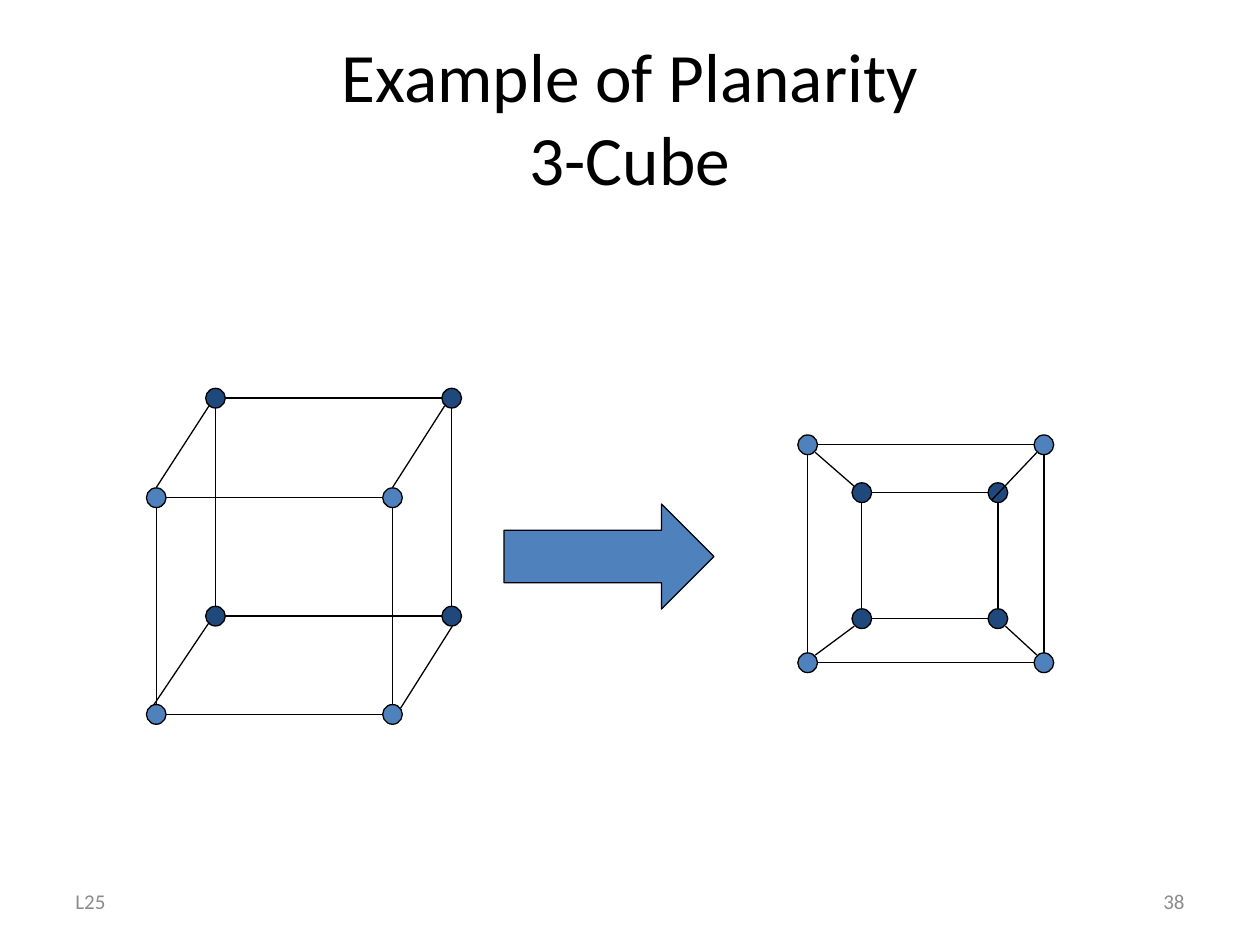
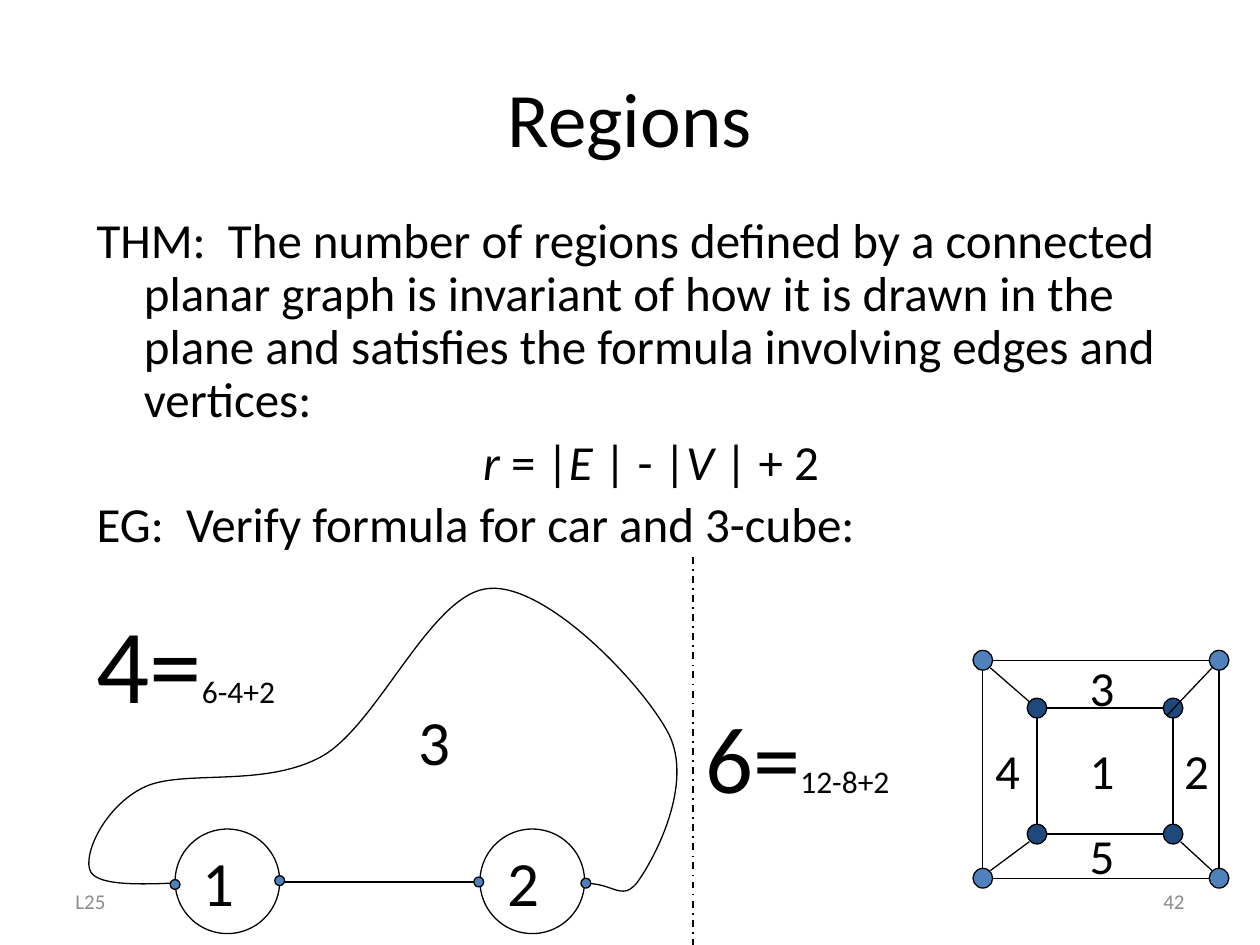
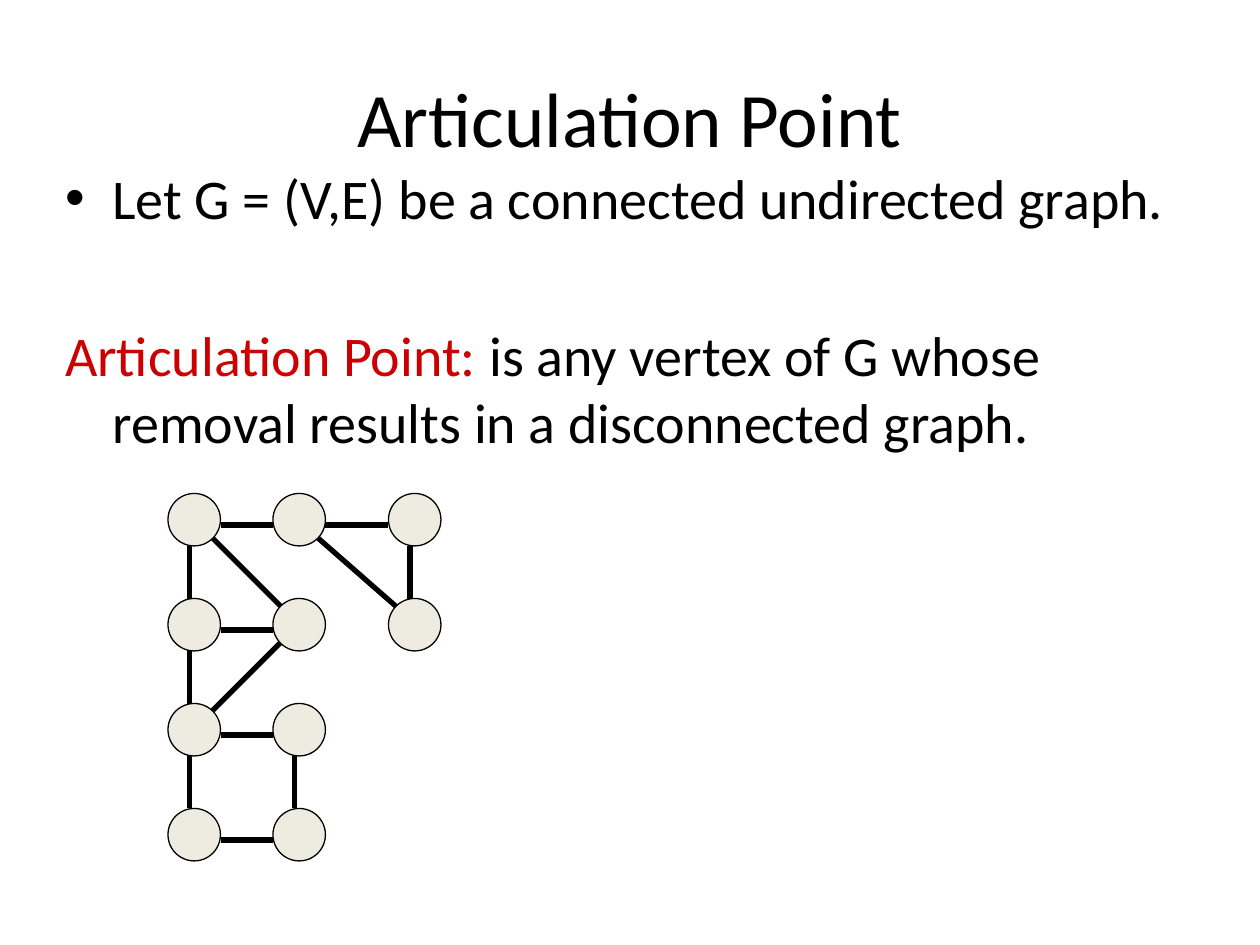
from dataclasses import dataclass
from typing import Any

from pptx import Presentation
from pptx.dml.color import RGBColor
from pptx.enum.dml import MSO_LINE
from pptx.enum.shapes import MSO_CONNECTOR, MSO_SHAPE
from pptx.enum.text import MSO_ANCHOR, MSO_AUTO_SIZE, PP_ALIGN
from pptx.oxml.ns import qn
from pptx.oxml.xmlchemy import OxmlElement
from pptx.util import Inches, Pt

Point = tuple[float, float]
Segment = tuple[Point, Point]
Box = tuple[float, float, float, float]


@dataclass(frozen=True)
class Theme:
    font: str = "Calibri"
    ink: RGBColor = RGBColor(0x00, 0x00, 0x00)
    paper: RGBColor = RGBColor(0xFF, 0xFF, 0xFF)
    muted: RGBColor = RGBColor(0x8C, 0x8C, 0x8C)
    light: RGBColor = RGBColor(0x4F, 0x81, 0xBD)
    dark: RGBColor = RGBColor(0x1F, 0x49, 0x7D)
    cream: RGBColor = RGBColor(0xEE, 0xEC, 0xE1)
    red: RGBColor = RGBColor(0xCC, 0x00, 0x00)
    title: float = 44
    title_two_lines: float = 39.6
    body: float = 32
    body_dense: float = 28
    region: float = 28
    wheel: float = 36
    car_count: float = 60
    cube_count: float = 54
    sum: float = 18
    footer: float = 12
    thin: float = 0.75
    divider: float = 1
    thick: float = 3


T = Theme()


@dataclass(frozen=True)
class Span:
    text: str
    size: float
    color: RGBColor = T.ink
    italic: bool = False


@dataclass(frozen=True)
class Para:
    spans: tuple[Span, ...]
    format: dict[str, Any]
    bullet: bool = False


@dataclass(frozen=True)
class Ring:
    corner: Point
    size: Point
    color: RGBColor


@dataclass(frozen=True)
class CubeGraph:
    inner: Ring
    outer: Ring
    spokes: tuple[Segment, ...]


@dataclass(frozen=True)
class Label:
    at: Box
    spans: tuple[Span, ...]


DOT = 5 / 32
SIDE = 15 / 8
CUBE_3D = CubeGraph(
    Ring((0.47, -0.79), (SIDE, 1.73), T.dark),
    Ring((0, 0), (SIDE, 1.72), T.light),
    (
        ((0.42, -0.73), (0, -0.08)),
        ((2.29, -0.73), (SIDE, -0.08)),
        ((2.35, 1.02), (1.94, 1.67)),
        ((0.42, 0.99), (-0.07, 1.72)),
    ),
)
CUBE_FLAT = CubeGraph(
    Ring((0.43, 0.38), (1.08, 1), T.dark),
    Ring((0, 0), (SIDE, 1.73), T.light),
    (
        ((0.37, 0.33), (0.06, 0.06)),
        ((1.46, 0.44), (1.82, 0.06)),
        ((1.57, 1.44), (1.82, 1.67)),
        ((0.37, 1.44), (0.06, 1.67)),
    ),
)

CAR_START: Point = (1.56, 7)
CAR_CURVES: tuple[tuple[Point, Point, Point], ...] = (
    ((1.17, 7.02), (0.79, 7.04), (0.72, 6.92)),
    ((0.65, 6.79), (0.83, 6.4), (1.14, 6.25)),
    ((1.44, 6.1), (2.1, 6.26), (2.56, 6)),
    ((3.01, 5.74), (3.43, 4.69), (3.89, 4.67)),
    ((4.35, 4.64), (5.11, 5.44), (5.31, 5.83)),
    ((5.5, 6.22), (5.21, 6.79), (5.06, 7)),
    ((4.9, 7.21), (4.83, 6.88), (4.39, 7.08)),
)

NODE = 5 / 12
NODE_LEFTS = (4 / 3, 13 / 6, 37 / 12)
NODE_TOP, NODE_PITCH = 47 / 12, 5 / 6
NODES = ((0, 0), (1, 0), (2, 0), (0, 1), (1, 1), (2, 1), (0, 2), (1, 2), (0, 3), (1, 3))
EDGES = (
    ((0, 2), (1, 1)), ((0, 0), (1, 1)), ((0, 0), (0, 3)), ((1, 0), (2, 1)),
    ((0, 0), (1, 0)), ((1, 0), (2, 0)), ((2, 0), (2, 1)), ((0, 3), (1, 3)),
    ((0, 1), (1, 1)), ((0, 2), (1, 2)), ((1, 2), (1, 3)),
)
EDGE_ENDS: dict[tuple[int, int], Segment] = {
    (1, 0): ((NODE, 0.25), (0, 0.25)),
    (0, 1): ((0.17, NODE), (0.17, 0)),
    (1, 1): ((0.33, 0.33), (0.08, 0.08)),
    (1, -1): ((0.33, 0.08), (0.08, 0.33)),
}


def assign(target: Any, values: dict[str, Any]) -> None:
    for name, value in values.items():
        setattr(target, name, value)


def shift(a: Point, b: Point) -> Point:
    return a[0] + b[0], a[1] + b[1]


def place(sp: Any, at: Box) -> None:
    assign(sp, dict(zip(("left", "top", "width", "height"), map(Inches, at))))


def add_span(p: Any, span: Span) -> None:
    r = p.add_run()
    r.text = span.text
    assign(r.font, {"name": T.font, "size": Pt(span.size), "italic": span.italic})
    r.font.color.rgb = span.color


def outline(sp: Any, width: float = T.thin) -> None:
    sp.line.color.rgb = T.ink
    sp.line.width = Pt(width)


def add_line(s: Any, start: Point, end: Point, width: float = T.thin) -> Any:
    cn = s.shapes.add_connector(MSO_CONNECTOR.STRAIGHT, *map(Inches, (*start, *end)))
    cn._element.spPr.append(OxmlElement("a:effectLst"))
    outline(cn, width)
    return cn


def add_filled(s: Any, kind: MSO_SHAPE, at: Box, color: RGBColor) -> Any:
    sp = s.shapes.add_shape(kind, *map(Inches, at))
    sp.shadow.inherit = False
    sp.fill.solid()
    sp.fill.fore_color.rgb = color
    outline(sp)
    return sp


def add_dot(s: Any, center: Point, size: float, color: RGBColor) -> None:
    x, y = center
    add_filled(s, MSO_SHAPE.OVAL, (x - size / 2, y - size / 2, size, size), color)


def add_title(s: Any, lines: tuple[str, ...], size: float = T.title) -> None:
    sp = s.shapes.title
    place(sp, (0.5, 0.3, 9, 1.25))
    tf = sp.text_frame
    assign(tf, {"auto_size": MSO_AUTO_SIZE.NONE, "vertical_anchor": MSO_ANCHOR.MIDDLE})
    p = tf.paragraphs[0]
    p.alignment = PP_ALIGN.CENTER
    for i, line in enumerate(lines):
        if i:
            p.add_line_break()
        add_span(p, Span(line, size))


def add_body(s: Any, at: Box, paras: tuple[Para, ...]) -> None:
    sp = s.placeholders[1]
    place(sp, at)
    tf = sp.text_frame
    tf.auto_size = MSO_AUTO_SIZE.NONE
    for i, para in enumerate(paras):
        p = tf.add_paragraph() if i else tf.paragraphs[0]
        if not para.bullet:
            p._p.get_or_add_pPr().append(OxmlElement("a:buNone"))
        assign(p, para.format)
        for span in para.spans:
            add_span(p, span)


def add_text(s: Any, at: Box, spans: tuple[Span, ...], box_format: dict[str, Any],
             align: PP_ALIGN = PP_ALIGN.LEFT) -> None:
    tf = s.shapes.add_textbox(*map(Inches, at)).text_frame
    assign(tf, box_format)
    p = tf.paragraphs[0]
    p.alignment = align
    for span in spans:
        add_span(p, span)


def add_footer(s: Any, number: str) -> None:
    fmt = {"word_wrap": True, "vertical_anchor": MSO_ANCHOR.MIDDLE}
    for left, text, align in ((0.5, "L25", PP_ALIGN.LEFT), (7.17, number, PP_ALIGN.RIGHT)):
        add_text(s, (left, 6.95, 2.33, 0.4), (Span(text, T.footer, T.muted),), fmt, align)


def add_label(s: Any, label: Label) -> None:
    add_text(s, label.at, label.spans,
             {"word_wrap": False, "auto_size": MSO_AUTO_SIZE.SHAPE_TO_FIT_TEXT})


def add_ring(s: Any, origin: Point, ring: Ring) -> None:
    x, y = shift(origin, ring.corner)
    right, bottom = shift((x, y), ring.size)
    gap = DOT / 2
    for row in (y, bottom):
        add_line(s, (x + gap, row), (right - gap, row))
    for col in (x, right):
        add_line(s, (col, y + gap), (col, bottom - gap))
        for row in (y, bottom):
            add_dot(s, (col, row), DOT, ring.color)


def add_cube(s: Any, origin: Point, cube: CubeGraph) -> None:
    add_ring(s, origin, cube.inner)
    for start, end in cube.spokes:
        add_line(s, shift(origin, start), shift(origin, end))
    add_ring(s, origin, cube.outer)


def bend(sp: Any) -> None:
    sides = list(sp._element.iter(qn("a:lnTo")))
    for i in range(0, len(sides), 3):
        curve = OxmlElement("a:cubicBezTo")
        sides[i].addprevious(curve)
        for side in sides[i:i + 3]:
            curve.append(side[0])
            side.getparent().remove(side)


def add_car(s: Any) -> None:
    fb = s.shapes.build_freeform(*map(Inches, CAR_START))
    fb.add_line_segments(
        [(Inches(x), Inches(y)) for curve in CAR_CURVES for x, y in curve], close=False)
    body = fb.convert_to_shape()
    bend(body)
    body.shadow.inherit = False
    body.fill.background()
    outline(body)

    add_line(s, (2.06, 7), (3.89, 7))
    for left, number in ((3.81, "2"), (1.39, "1")):
        wheel = add_filled(s, MSO_SHAPE.OVAL, (left, 6.58, 0.83, 0.83), T.paper)
        wheel.text_frame.word_wrap = False
        p = wheel.text_frame.paragraphs[0]
        p.alignment = PP_ALIGN.LEFT
        add_span(p, Span(number, T.wheel))
    for center in ((3.8, 7), (2.22, 6.99), (4.65, 7.01), (1.39, 7.02)):
        add_dot(s, center, DOT / 2, T.light)


def planarity_slide(prs: Any) -> None:
    s = prs.slides.add_slide(prs.slide_layouts[5])
    add_footer(s, "38")
    add_title(s, ("Example of Planarity", "3-Cube"), T.title_two_lines)
    add_cube(s, (1.24, 3.95), CUBE_3D)
    add_cube(s, (6.41, 3.53), CUBE_FLAT)
    add_filled(s, MSO_SHAPE.RIGHT_ARROW, (4, 4, 5 / 3, 5 / 6), T.light)


def regions_slide(prs: Any) -> None:
    s = prs.slides.add_slide(prs.slide_layouts[1])
    add_footer(s, "42")
    add_title(s, ("Regions",))
    size = T.body_dense
    tight = {"line_spacing": 0.9}
    formula = (("r", True), (" = |", False), ("E ", True), ("| - |", False),
               ("V ", True), ("| + 2", False))
    add_body(s, (2 / 3, 5 / 3, 9, 2.83), (
        Para((Span("THM:  The number of regions defined by a connected planar graph is "
                   "invariant of how it is drawn in the plane and satisfies the formula "
                   "involving edges and vertices:", size),),
             {**tight, "space_before": Pt(0)}),
        Para(tuple(Span(text, size, italic=italic) for text, italic in formula),
             {**tight, "alignment": PP_ALIGN.CENTER}),
        Para((Span("EG:  Verify formula for car and 3-cube:", size),), tight),
    ))
    regions = (("1", 8.55, 5.83), ("2", 9.3, 5.83), ("3", 8.55, 5.17),
               ("4", 7.8, 5.83), ("5", 8.55, 6.5))
    for text, left, top in regions:
        add_label(s, Label((left, top, 0.41, 0.57), (Span(text, T.region),)))
    add_cube(s, (7.8, 5.24), CUBE_FLAT)
    add_car(s)
    for label in (
        Label((5.5, 5.5, 2.25, 1), (Span("6=", T.cube_count), Span("12-8+2", T.sum))),
        Label((3.22, 5.53, 0.47, 0.7), (Span("3", T.wheel),)),
        Label((2 / 3, 4.7, 2.17, 1.1), (Span("4=", T.car_count), Span("6-4+2", T.sum))),
    ):
        add_label(s, label)
    divider = add_line(s, (5.5, 4.42), (5.5, 7.5), T.divider)
    divider.line.dash_style = MSO_LINE.DASH_DOT


def node_corner(node: tuple[int, int]) -> Point:
    col, row = node
    return NODE_LEFTS[col], NODE_TOP + NODE_PITCH * row


def sign(n: int) -> int:
    return (n > 0) - (n < 0)


def articulation_slide(prs: Any) -> None:
    s = prs.slides.add_slide(prs.slide_layouts[1])
    add_title(s, ("Articulation Point",))
    add_body(s, (5 / 12, 1.25, 9, 5.75), (
        Para((Span("Let G = (V,E) be a connected undirected graph.", T.body),),
             {"space_before": Pt(0)}, bullet=True),
        Para((Span("Articulation Point:", T.body, T.red),
              Span(" is any vertex of G whose removal results in a disconnected graph.",
                   T.body)),
             {"space_before": Pt(51)}),
    ))
    for a, b in EDGES:
        start, end = EDGE_ENDS[sign(b[0] - a[0]), sign(b[1] - a[1])]
        add_line(s, shift(node_corner(a), start), shift(node_corner(b), end), T.thick)
    for node in NODES:
        add_filled(s, MSO_SHAPE.OVAL, (*node_corner(node), NODE, NODE), T.cream)


def main() -> None:
    prs = Presentation()
    assign(prs, {"slide_width": Inches(10), "slide_height": Inches(7.5)})
    for build in (planarity_slide, regions_slide, articulation_slide):
        build(prs)
    prs.save("out.pptx")


if __name__ == "__main__":
    main()
